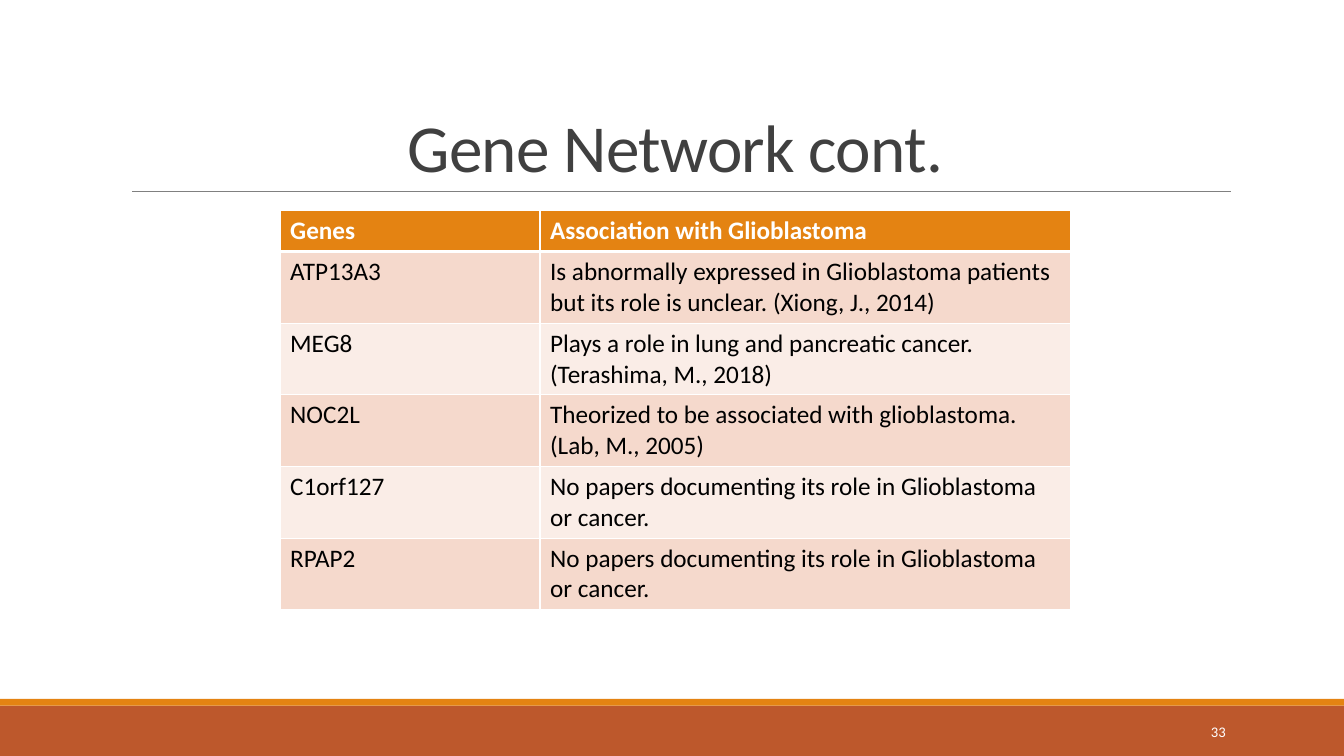
from pptx import Presentation
from pptx import util as u
from pptx.dml.color import RGBColor
from pptx.enum import shapes, text
from pptx.oxml.ns import qn
from lxml import etree

TITLE = "Gene Network cont."
PAGE_NUMBER = "33"
HEADER = ("Genes", "Association with Glioblastoma")
GENES = [
    ("ATP13A3", "Is abnormally expressed in Glioblastoma patients but its role is unclear. (Xiong, J., 2014)"),
    ("MEG8", "Plays a role in lung and pancreatic cancer. (Terashima, M., 2018)"),
    ("NOC2L", "Theorized to be associated with glioblastoma. (Lab, M., 2005)"),
    ("C1orf127", "No papers documenting its role in Glioblastoma or cancer."),
    ("RPAP2", "No papers documenting its role in Glioblastoma or cancer."),
]

FONT = "Calibri"
WHITE = RGBColor(0xFF, 0xFF, 0xFF)
BLACK = RGBColor(0, 0, 0)
CHARCOAL = RGBColor(0x40, 0x40, 0x40)
GREY = RGBColor(0x80, 0x80, 0x80)
RUST = RGBColor(0xBD, 0x58, 0x2C)
ORANGE = RGBColor(0xE4, 0x83, 0x12)
BANDS = (RGBColor(0xF5, 0xD9, 0xCC), RGBColor(0xFA, 0xED, 0xE7))

SLIDE_WIDTH, SLIDE_HEIGHT = 33.87, 19.05
FOOTER_HEIGHT, STRIPE_HEIGHT = 1.27, 0.17
TABLE_LEFT, TABLE_TOP = 7.06, 5.31
COLUMN_WIDTHS = (6.55, 13.36)
HEADER_HEIGHT, ROW_HEIGHT = 1.02, 1.8


def write(frame, words, size=18, color=BLACK, bold=False,
          align=text.PP_ALIGN.LEFT, anchor=text.MSO_ANCHOR.TOP, line_spacing=None, tracking=None):
    frame.word_wrap = True
    frame.vertical_anchor = anchor
    paragraph = frame.paragraphs[0]
    paragraph.alignment = align
    paragraph.line_spacing = line_spacing
    run = paragraph.add_run()
    run.text = words
    run.font.name = FONT
    run.font.size = u.Pt(size)
    run.font.bold = bold
    run.font.color.rgb = color
    if tracking is not None:
        run.font._element.set("spc", str(int(tracking * 100)))


def add_bar(slide, top, height, color):
    bar = slide.shapes.add_shape(shapes.MSO_SHAPE.RECTANGLE, 0, u.Cm(top), u.Cm(SLIDE_WIDTH), u.Cm(height))
    bar.shadow.inherit = False
    bar.fill.solid()
    bar.fill.fore_color.rgb = color
    bar.line.fill.background()


def add_rule(slide, left, right, top):
    rule = slide.shapes.add_connector(
        shapes.MSO_CONNECTOR.STRAIGHT, u.Cm(left), u.Cm(top), u.Cm(right), u.Cm(top))
    rule.line.color.rgb = GREY
    rule.line.width = u.Pt(0.5)
    etree.SubElement(rule._element.spPr, qn("a:effectLst"))


def set_borders(cell, top, bottom):
    properties = cell._tc.get_or_add_tcPr()
    for side, width in (("L", 1), ("R", 1), ("T", top), ("B", bottom)):
        border = etree.SubElement(properties, qn("a:ln" + side), w=str(u.Pt(width)))
        fill = etree.SubElement(border, qn("a:solidFill"))
        etree.SubElement(fill, qn("a:srgbClr"), val=str(WHITE))


def add_gene_table(slide):
    rows = [HEADER] + GENES
    heights = [HEADER_HEIGHT] + [ROW_HEIGHT] * len(GENES)
    table = slide.shapes.add_table(
        len(rows), len(HEADER), u.Cm(TABLE_LEFT), u.Cm(TABLE_TOP),
        u.Cm(sum(COLUMN_WIDTHS)), u.Cm(sum(heights))).table
    for column, width in zip(table.columns, COLUMN_WIDTHS):
        column.width = u.Cm(width)
    for index, (row, height, words) in enumerate(zip(table.rows, heights, rows)):
        row.height = u.Cm(height)
        is_header = index == 0
        for cell, entry in zip(row.cells, words):
            set_borders(cell, top=3 if index == 1 else 1, bottom=3 if is_header else 1)
            cell.fill.solid()
            cell.fill.fore_color.rgb = ORANGE if is_header else BANDS[(index - 1) % 2]
            write(cell.text_frame, entry, color=WHITE if is_header else BLACK, bold=is_header)


def main():
    presentation = Presentation()
    presentation.slide_width = u.Cm(SLIDE_WIDTH)
    presentation.slide_height = u.Cm(SLIDE_HEIGHT)
    slide = presentation.slides.add_slide(presentation.slide_layouts[5])

    footer_top = SLIDE_HEIGHT - FOOTER_HEIGHT
    add_bar(slide, footer_top, FOOTER_HEIGHT, RUST)
    add_bar(slide, footer_top - STRIPE_HEIGHT, STRIPE_HEIGHT, ORANGE)
    add_rule(slide, 3.33, 31.01, 4.83)

    title = slide.shapes.title
    title.left, title.top, title.width, title.height = u.Cm(3.05), u.Cm(0.79), u.Cm(27.94), u.Cm(4.04)
    write(title.text_frame, TITLE, size=48, color=CHARCOAL, align=text.PP_ALIGN.CENTER,
          anchor=text.MSO_ANCHOR.BOTTOM, line_spacing=0.85, tracking=-0.5)

    add_gene_table(slide)

    number = slide.shapes.add_textbox(u.Cm(27.51), u.Cm(17.93), u.Cm(3.63), u.Cm(1.02))
    write(number.text_frame, PAGE_NUMBER, size=10.5, color=WHITE,
          align=text.PP_ALIGN.RIGHT, anchor=text.MSO_ANCHOR.MIDDLE)

    presentation.save("out.pptx")


if __name__ == "__main__":
    main()
